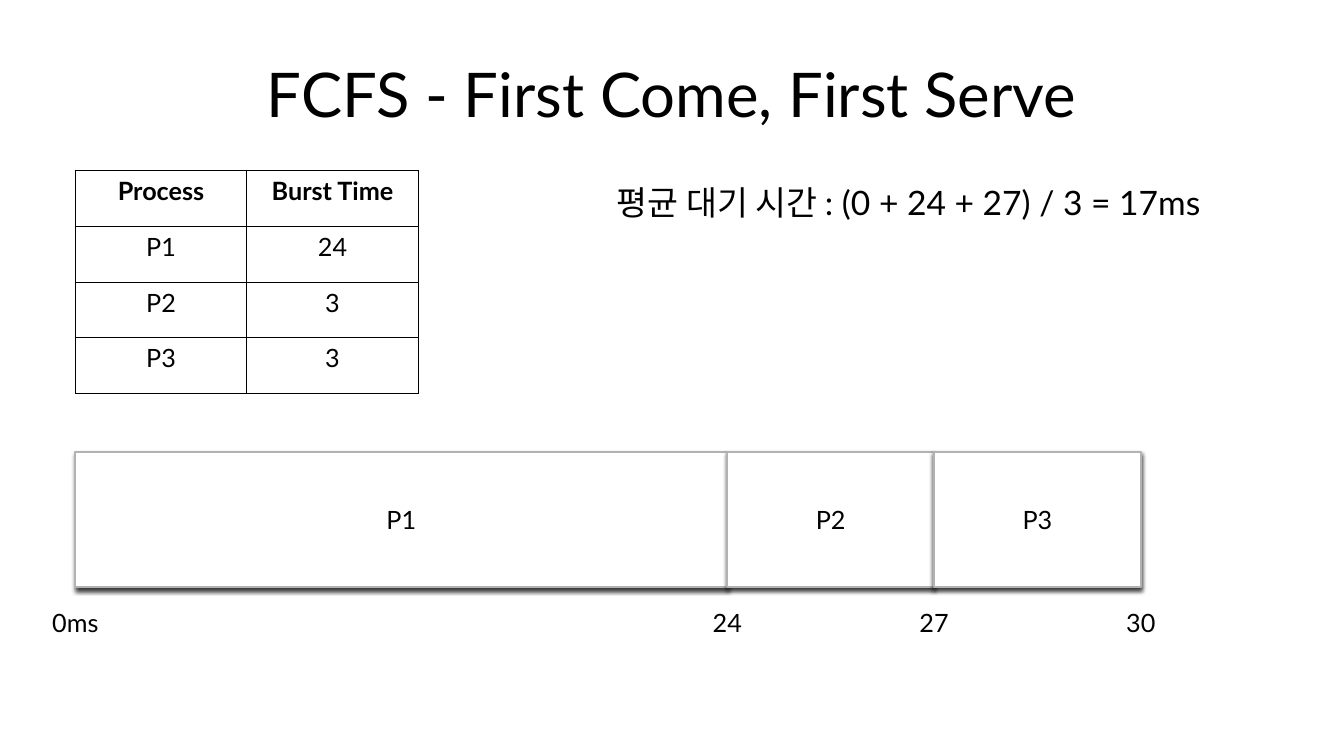
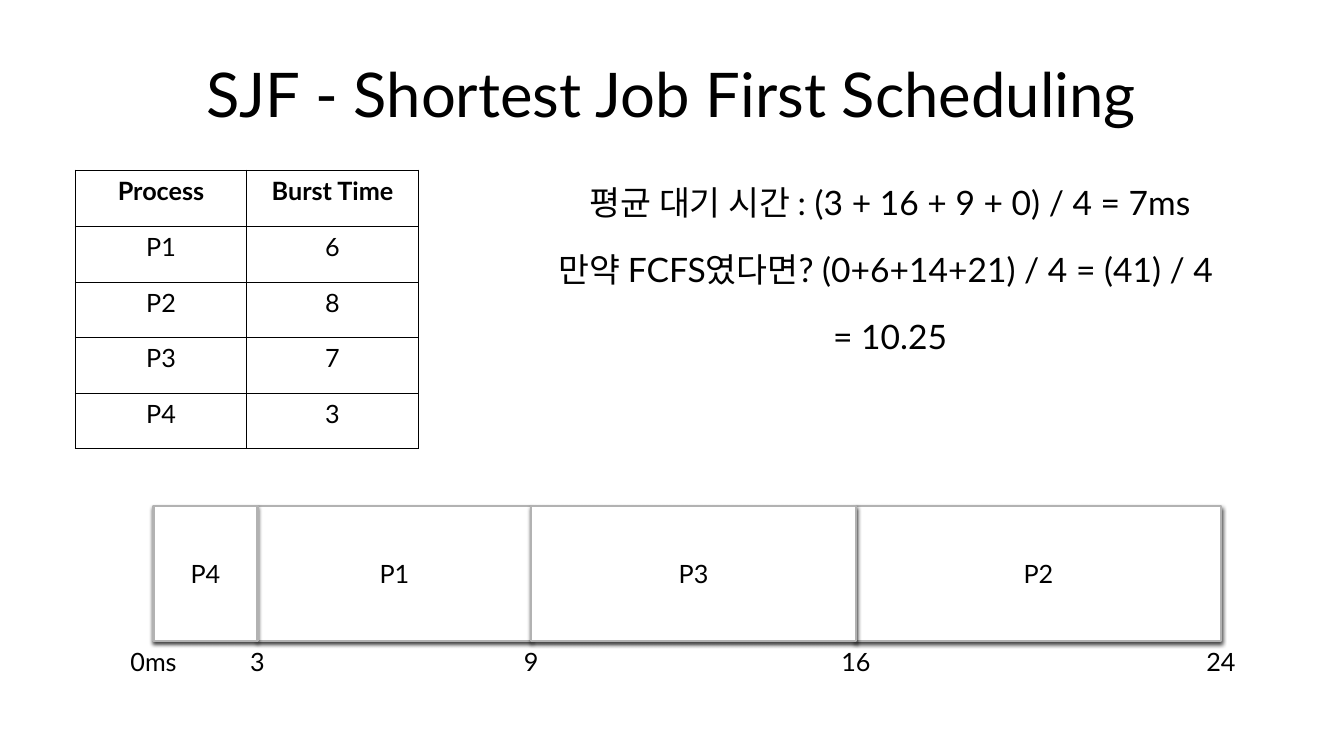
from lxml import etree
from pptx import Presentation, util as u
from pptx.dml.color import RGBColor
from pptx.enum import shapes, text
from pptx.oxml import ns

Cm, Pt = u.Cm, u.Pt

# Shared look
THEME = dict(font="Lato", ink=RGBColor(0, 0, 0), paper=RGBColor(255, 255, 255),
             bar_line=RGBColor(0xB2, 0xB2, 0xB2), title=Pt(44), body=Pt(24), small=Pt(18))
TITLE_BOX = dict(left=Cm(1.69), top=Cm(0.76), width=Cm(30.48), height=Cm(3.18))
BODY_TOP, BODY_RIGHT = 3.94, 32.74
TABLE_LEFT, TABLE_TOP, COL_W, HEAD_H, ROW_H = 1.9, 4.29, 4.32, 1.42, 1.4
BAR_H, LABEL_W, LABEL_H = 3.4, 2.56, 1.02

# Slide data, in cm; bars are (process, finish time, width)
SLIDES = [
    dict(title="FCFS - First Come, First Serve",
         notes=["평균 대기 시간 : (0 + 24 + 27) / 3 = 17ms"],
         body_left=13.06, body_h=4.55,
         bursts=[("P1", 24), ("P2", 3), ("P3", 3)],
         bar_left=1.9, bar_top=11.4, label_top=15.19,
         bars=[("P1", 24, 16.43), ("P2", 27, 5.21), ("P3", 30, 5.21)]),
    dict(title="SJF - Shortest Job First Scheduling",
         notes=["평균 대기 시간 : (3 + 16 + 9 + 0) / 4 = 7ms",
                "만약 FCFS였다면? (0+6+14+21) / 4 = (41) / 4 ",
                "= 10.25"],
         body_left=12.12, body_h=6.5,
         bursts=[("P1", 6), ("P2", 8), ("P3", 7), ("P4", 3)],
         bar_left=3.87, bar_top=12.75, label_top=16.15,
         bars=[("P4", 3, 2.62), ("P1", 9, 6.9), ("P3", 16, 8.18), ("P2", 24, 9.2)]),
]


def write(tf, lines, size, bold=False):
    """Fill a text frame with centred paragraphs."""
    tf.word_wrap = True
    for i, line in enumerate(lines):
        p = tf.add_paragraph() if i else tf.paragraphs[0]
        p.alignment = text.PP_ALIGN.CENTER
        r = p.add_run()
        r.text = str(line)
        for key, value in dict(name=THEME["font"], size=size, bold=bold).items():
            setattr(r.font, key, value)
        r.font.color.rgb = THEME["ink"]


def add_xml(parent, xml):
    """Append a DrawingML fragment to an element."""
    parent.append(etree.fromstring(xml.replace(" ", f" {ns.nsdecls('a')} ", 1)))


prs = Presentation()
prs.slide_width, prs.slide_height = Cm(33.87), Cm(19.05)
layout = prs.slide_layouts[1]
for key, value in TITLE_BOX.items():
    setattr(layout.placeholders[0], key, value)

for d in SLIDES:
    s = prs.slides.add_slide(layout)

    # Title
    write(s.shapes.title.text_frame, [d["title"]], THEME["title"])

    # Waiting time
    body = s.placeholders[1]
    box = dict(left=d["body_left"], top=BODY_TOP,
               width=BODY_RIGHT - d["body_left"], height=d["body_h"])
    for key, value in box.items():
        setattr(body, key, Cm(value))
    tf = body.text_frame
    tf.auto_size = text.MSO_AUTO_SIZE.NONE
    write(tf, d["notes"], THEME["body"])
    for p in tf.paragraphs:
        p.line_spacing = 1.5
        pPr = p._p.get_or_add_pPr()
        pPr.set("marL", "0")
        pPr.set("indent", "0")
        add_xml(pPr, "<a:buNone />")

    # Burst time table
    rows = [("Process", "Burst Time")] + d["bursts"]
    table = s.shapes.add_table(len(rows), 2, Cm(TABLE_LEFT), Cm(TABLE_TOP), Cm(2 * COL_W),
                               Cm(HEAD_H + ROW_H * len(d["bursts"]))).table
    table.first_row = table.horz_banding = False
    for col in table.columns:
        col.width = Cm(COL_W)
    for i, row in enumerate(rows):
        table.rows[i].height = Cm(ROW_H if i else HEAD_H)
        for j, value in enumerate(row):
            cell = table.cell(i, j)
            write(cell.text_frame, [value], THEME["small"], bold=i == 0)
            for side in "LRTB":
                add_xml(cell._tc.get_or_add_tcPr(),
                        f'<a:ln{side} w="{Pt(1)}"><a:solidFill><a:srgbClr val="{THEME["ink"]}"/>'
                        f'</a:solidFill></a:ln{side}>')
            cell.fill.solid()
            cell.fill.fore_color.rgb = THEME["paper"]

    # Timeline edges
    edges, ticks = [d["bar_left"]], ["0ms"]
    for _, finish, width in d["bars"]:
        edges.append(edges[-1] + width)
        ticks.append(finish)

    # Timeline bars, stacked in process order
    for (name, _, width), left in sorted(zip(d["bars"], edges)):
        sp = s.shapes.add_shape(shapes.MSO_SHAPE.RECTANGLE, Cm(left), Cm(d["bar_top"]),
                                Cm(width), Cm(BAR_H))
        sp.fill.solid()
        sp.fill.fore_color.rgb = THEME["paper"]
        sp.line.color.rgb = THEME["bar_line"]
        sp.line.width = Pt(1.5)
        sp.shadow.inherit = False
        add_xml(sp._element.spPr.find(ns.qn("a:effectLst")),
                f'<a:outerShdw blurRad="{Pt(3)}" dist="{Pt(2)}" dir="5400000" rotWithShape="0">'
                f'<a:srgbClr val="{THEME["ink"]}"><a:alpha val="75000"/></a:srgbClr></a:outerShdw>')
        sp.text_frame.vertical_anchor = text.MSO_ANCHOR.MIDDLE
        write(sp.text_frame, [name], THEME["small"])

    # Timeline labels, centred on the edges
    for edge, tick in zip(edges, ticks):
        sp = s.shapes.add_textbox(Cm(edge - LABEL_W / 2), Cm(d["label_top"]),
                                  Cm(LABEL_W), Cm(LABEL_H))
        sp.text_frame.auto_size = text.MSO_AUTO_SIZE.SHAPE_TO_FIT_TEXT
        write(sp.text_frame, [tick], THEME["small"])

prs.save("out.pptx")
